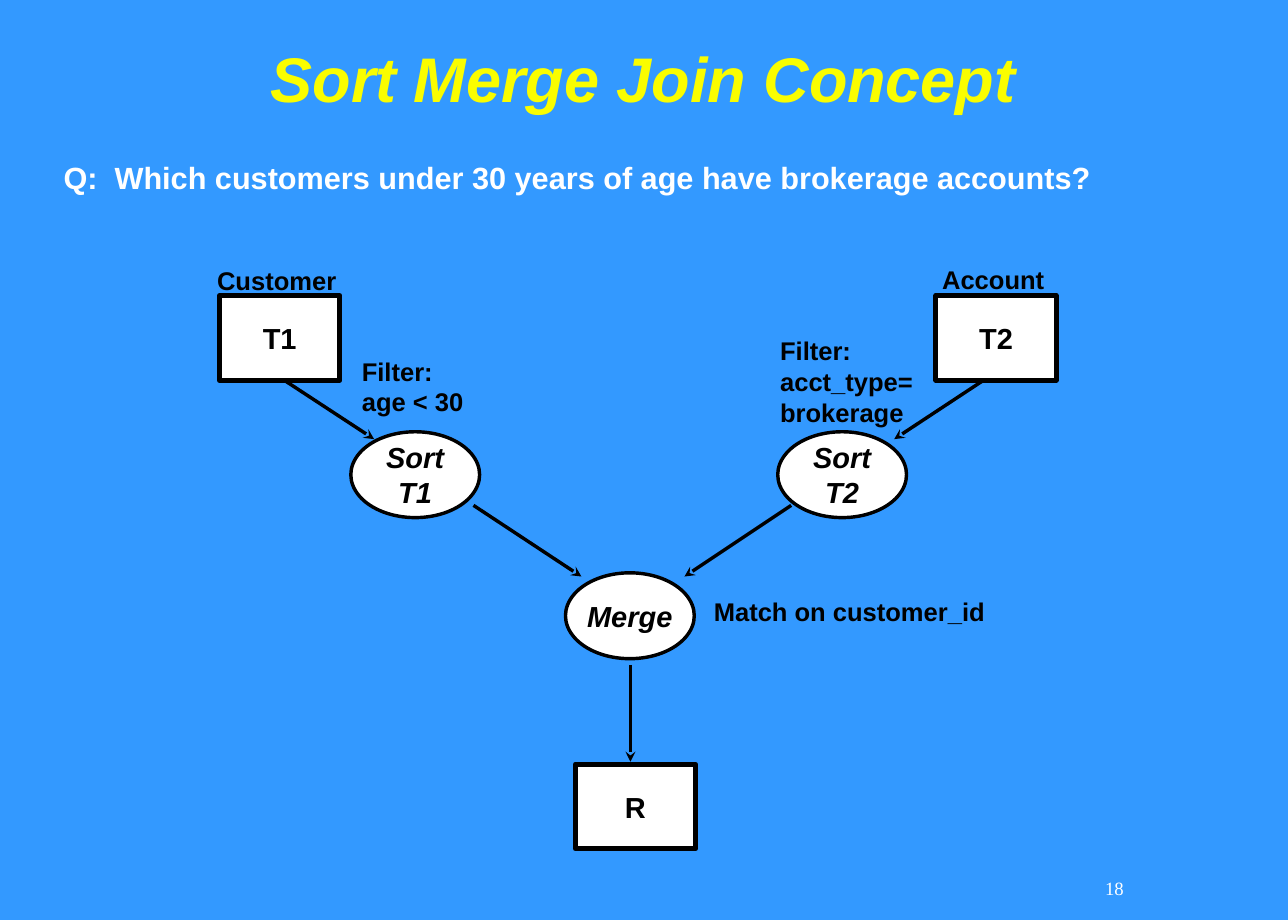
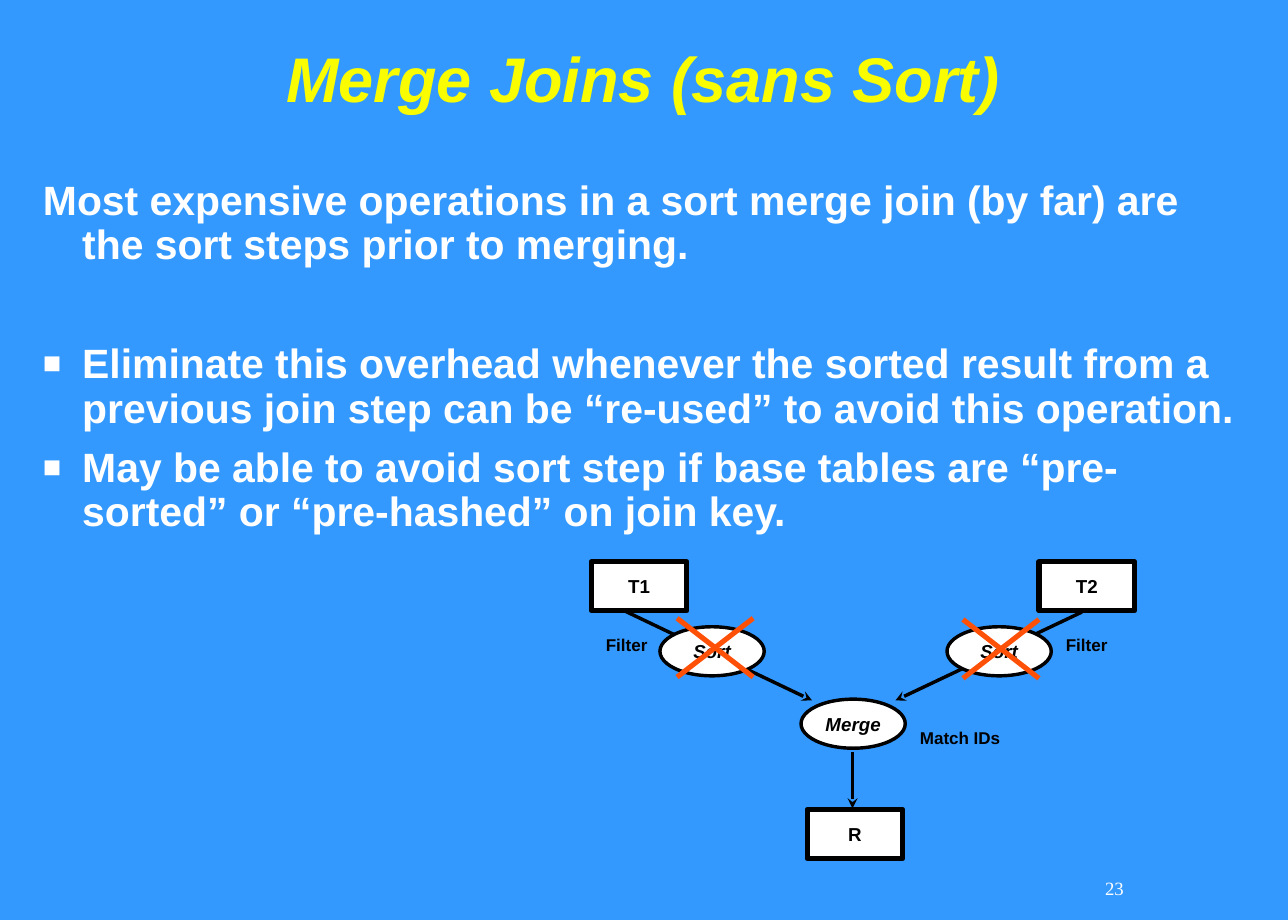
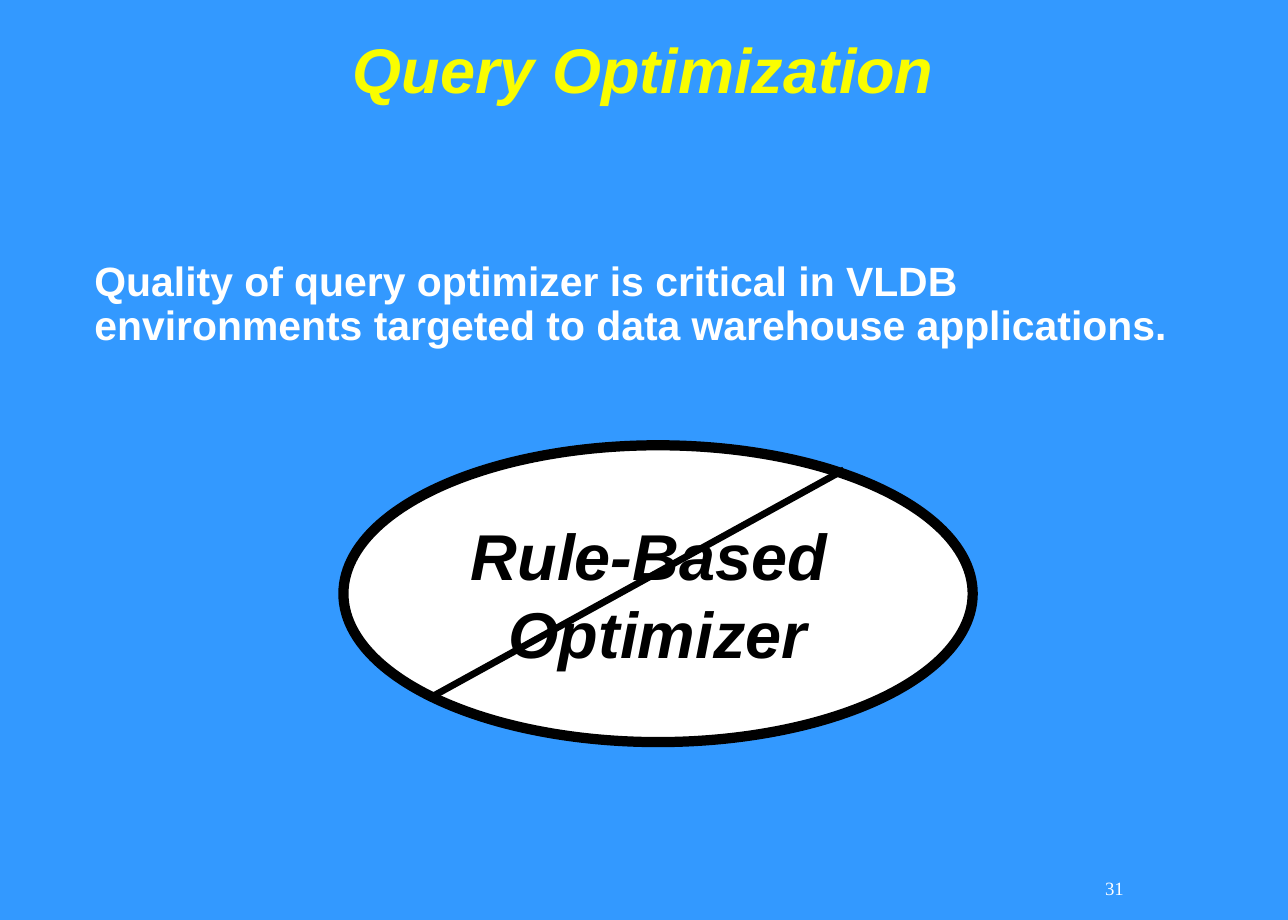
from dataclasses import dataclass

from lxml.etree import SubElement
from pptx import Presentation
from pptx.dml.color import RGBColor
from pptx.enum.shapes import MSO_CONNECTOR, MSO_SHAPE
from pptx.enum.text import MSO_ANCHOR, MSO_AUTO_SIZE, PP_ALIGN
from pptx.oxml.ns import qn
from pptx.util import Inches, Pt

TITLE_AND_BODY, TITLE_ONLY = 1, 5


@dataclass(frozen=True)
class Theme:
    background: str = "3399FF"
    title: str = "FAFD00"
    light: str = "FFFFFF"
    ink: str = "000000"
    cross: str = "FF5008"
    font: str = "Arial"
    number_font: str = "Times New Roman"
    title_size: int = 37
    body_size: int = 24
    question_size: int = 18
    number_size: int = 11
    emphasis_size: int = 38
    thin: int = 2
    thick: int = 3
    slash: int = 4
    heavy: int = 6


@dataclass(frozen=True)
class FlowStyle:
    """Sizes that all nodes and labels of one flow diagram share."""
    box: tuple
    oval: tuple
    node_size: int
    label_size: int


THEME = Theme()
LARGE_FLOW = FlowStyle((0.98, 0.69), (1.05, 0.7), 17, 15)
SMALL_FLOW = FlowStyle((0.78, 0.4), (0.85, 0.4), 11, 10)


def rgb(value):
    return RGBColor.from_string(value)


def inches(*values):
    return [Inches(value) for value in values]


def style_font(font, size, color, name=THEME.font, bold=True, italic=False):
    font.name, font.size, font.bold, font.italic = name, Pt(size), bold, italic
    font.color.rgb = rgb(color)


def set_frame(frame, anchor=MSO_ANCHOR.MIDDLE, inset=(0.06, 0.03), wrap=False):
    frame.auto_size = MSO_AUTO_SIZE.NONE
    frame.word_wrap = wrap
    frame.vertical_anchor = anchor
    frame.margin_left = frame.margin_right = Inches(inset[0])
    frame.margin_top = frame.margin_bottom = Inches(inset[1])


def write(frame, text, size, color, align=PP_ALIGN.LEFT, **font_options):
    frame.text = text
    for para in frame.paragraphs:
        para.alignment = align
        style_font(para.font, size, color, **font_options)


def place(shape, left, top, width, height):
    shape.left, shape.top, shape.width, shape.height = inches(left, top, width, height)


def add_label(page, text, at, size, color=THEME.ink, **frame_options):
    box = page.shapes.add_textbox(*inches(*at))
    set_frame(box.text_frame, **frame_options)
    write(box.text_frame, text, size, color)
    return box


def add_node(page, kind, text, at, size, weight, italic=False):
    node = page.shapes.add_shape(kind, *inches(*at))
    node.shadow.inherit = False
    node.fill.solid()
    node.fill.fore_color.rgb = rgb(THEME.light)
    node.line.color.rgb = rgb(THEME.ink)
    node.line.width = Pt(weight)
    set_frame(node.text_frame)
    write(node.text_frame, text, size, THEME.ink, PP_ALIGN.CENTER, italic=italic)


def add_line(page, start, end, color=THEME.ink, weight=THEME.thin, arrow=False):
    line = page.shapes.add_connector(MSO_CONNECTOR.STRAIGHT, *inches(*start, *end))
    line.line.color.rgb = rgb(color)
    line.line.width = Pt(weight)
    if arrow:
        SubElement(line.line._get_or_add_ln(), qn("a:tailEnd"), type="stealth")
    SubElement(line._element.spPr, qn("a:effectLst"))


def add_cross(page, left, top, width=0.62, height=0.48):
    right, bottom = left + width, top + height
    for start, end in (((right, top), (left, bottom)), ((right, bottom), (left, top))):
        add_line(page, start, end, THEME.cross, THEME.thick)


def add_flow(page, style, arrows, boxes, ovals, labels):
    """Draw arrows first, so that the nodes lie over them."""
    for start, end in arrows:
        add_line(page, start, end, arrow=True)
    for text, left, top in boxes:
        add_node(page, MSO_SHAPE.RECTANGLE, text, (left, top, *style.box),
                 style.node_size, THEME.thick)
    for text, left, top in ovals:
        add_node(page, MSO_SHAPE.OVAL, text, (left, top, *style.oval),
                 style.node_size, THEME.thin, italic=True)
    for text, *at in labels:
        add_label(page, text, at, style.label_size)


def set_bullet(para, shown, indent):
    """Give the paragraph a hanging indent and a square bullet, or none."""
    props = para._p.get_or_add_pPr()
    props.set("marL", str(Inches(indent)))
    props.set("indent", str(-Inches(indent)))
    if not shown:
        SubElement(props, qn("a:buNone"))
        return
    color = SubElement(props, qn("a:buClr"))
    SubElement(color, qn("a:srgbClr"), val=THEME.light)
    SubElement(props, qn("a:buSzPct"), val="75000")
    SubElement(props, qn("a:buFont"), typeface=THEME.font)
    SubElement(props, qn("a:buChar"), char="■")


def fill_body(page, at, items, indent=0):
    """Items are (text, bulleted, space before in points)."""
    body = page.placeholders[1]
    place(body, *at)
    frame = body.text_frame
    set_frame(frame, MSO_ANCHOR.TOP, (0.1, 0.05), wrap=True)
    frame.text = "\n".join(text for text, _, _ in items)
    for para, (_, bulleted, space) in zip(frame.paragraphs, items):
        para.alignment = PP_ALIGN.LEFT
        para.line_spacing = 0.9
        para.space_before = Pt(space)
        set_bullet(para, bulleted, indent)
        style_font(para.font, THEME.body_size, THEME.light)


def add_page(deck, layout, title, number, title_top=-0.25):
    page = deck.slides.add_slide(deck.slide_layouts[layout])
    heading = page.shapes.title
    place(heading, 0.23, title_top, 10.03, 1.25)
    set_frame(heading.text_frame, MSO_ANCHOR.BOTTOM, (0.1, 0.05), wrap=True)
    write(heading.text_frame, title, THEME.title_size, THEME.title,
          PP_ALIGN.CENTER, italic=True)
    heading.text_frame.paragraphs[0].line_spacing = 0.9

    box = page.shapes.add_textbox(*inches(8.09, 6.99, 1.17, 0.5))
    set_frame(box.text_frame, inset=(0.1, 0.05))
    write(box.text_frame, str(number), THEME.number_size, THEME.light,
          PP_ALIGN.RIGHT, name=THEME.number_font, bold=False)
    return page


def add_concept_page(deck):
    page = add_page(deck, TITLE_ONLY, "Sort Merge Join Concept", 18)
    add_flow(
        page, LARGE_FLOW,
        arrows=[((2.18, 3.01), (3.05, 3.58)), ((8.17, 3), (7.29, 3.58)),
                ((3.86, 4.12), (4.74, 4.7)), ((6.45, 4.12), (5.58, 4.7)),
                ((5.14, 5.42), (5.14, 6.21))],
        boxes=[("T1", 1.79, 2.41), ("T2", 7.63, 2.41), ("R", 4.69, 6.23)],
        ovals=[("Sort\nT1", 2.86, 3.52), ("Sort\nT2", 6.34, 3.52),
               ("Merge", 4.61, 4.67)],
        labels=[("Customer", 1.71, 2.1, 1.16, 0.37),
                ("Account", 7.62, 2.09, 1.02, 0.37),
                ("Filter:\nage < 30", 2.89, 2.83, 1.07, 0.64),
                ("Filter:\nacct_type=\nbrokerage", 6.3, 2.66, 1.27, 0.9),
                ("Match on customer_id", 5.76, 4.8, 1.74, 0.37)])
    add_label(page, "Q:  Which customers under 30 years of age have brokerage accounts?",
              (0.42, 1.25, 9.17, 0.4), THEME.question_size, THEME.light,
              anchor=MSO_ANCHOR.TOP, inset=(0.1, 0.05), wrap=True)


def add_sans_sort_page(deck):
    page = add_page(deck, TITLE_AND_BODY, "Merge Joins (sans Sort)", 23)
    fill_body(page, (0.25, 1.42, 10.03, 4.5), [
        ("Most expensive operations in a sort merge join (by far) are the sort "
         "steps prior to merging.", False, 9),
        ("Eliminate this overhead whenever the sorted result from a previous join "
         "step can be “re-used” to avoid this operation.", True, 44),
        ("May be able to avoid sort step if base tables are “pre-sorted” or "
         "“pre-hashed” on join key.", True, 9),
    ], indent=0.32)
    add_flow(
        page, SMALL_FLOW,
        arrows=[((5.07, 4.97), (6.62, 5.71)), ((8.82, 4.99), (7.3, 5.71)),
                ((6.95, 6.13), (6.95, 6.59))],
        boxes=[("T1", 4.82, 4.58), ("T2", 8.47, 4.58), ("R", 6.58, 6.6)],
        ovals=[("Sort", 5.38, 5.11), ("Sort", 7.72, 5.11), ("Merge", 6.53, 5.7)],
        labels=[("Filter", 4.88, 5.13, 0.5, 0.25),
                ("Filter", 8.63, 5.13, 0.5, 0.25),
                ("Match IDs", 7.44, 5.89, 0.8, 0.25)])
    add_cross(page, 5.52, 5.04)
    add_cross(page, 7.85, 5.05)


def add_optimizer_page(deck):
    page = add_page(deck, TITLE_AND_BODY, "Query Optimization", 31, title_top=-0.33)
    fill_body(page, (0.67, 2.08, 9.42, 3.76), [
        ("Quality of query optimizer is critical in VLDB environments targeted "
         "to data warehouse applications.", False, 9)])
    add_node(page, MSO_SHAPE.OVAL, "Rule-Based \nOptimizer", (2.8, 3.63, 5.13, 2.42),
             THEME.emphasis_size, THEME.heavy, italic=True)
    add_line(page, (3.54, 5.67), (6.88, 3.83), weight=THEME.slash)


def main():
    deck = Presentation()
    deck.slide_width, deck.slide_height = inches(10.5, 7.5)
    backdrop = deck.slide_master.background.fill
    backdrop.solid()
    backdrop.fore_color.rgb = rgb(THEME.background)
    add_concept_page(deck)
    add_sans_sort_page(deck)
    add_optimizer_page(deck)
    deck.save("out.pptx")


if __name__ == "__main__":
    main()
